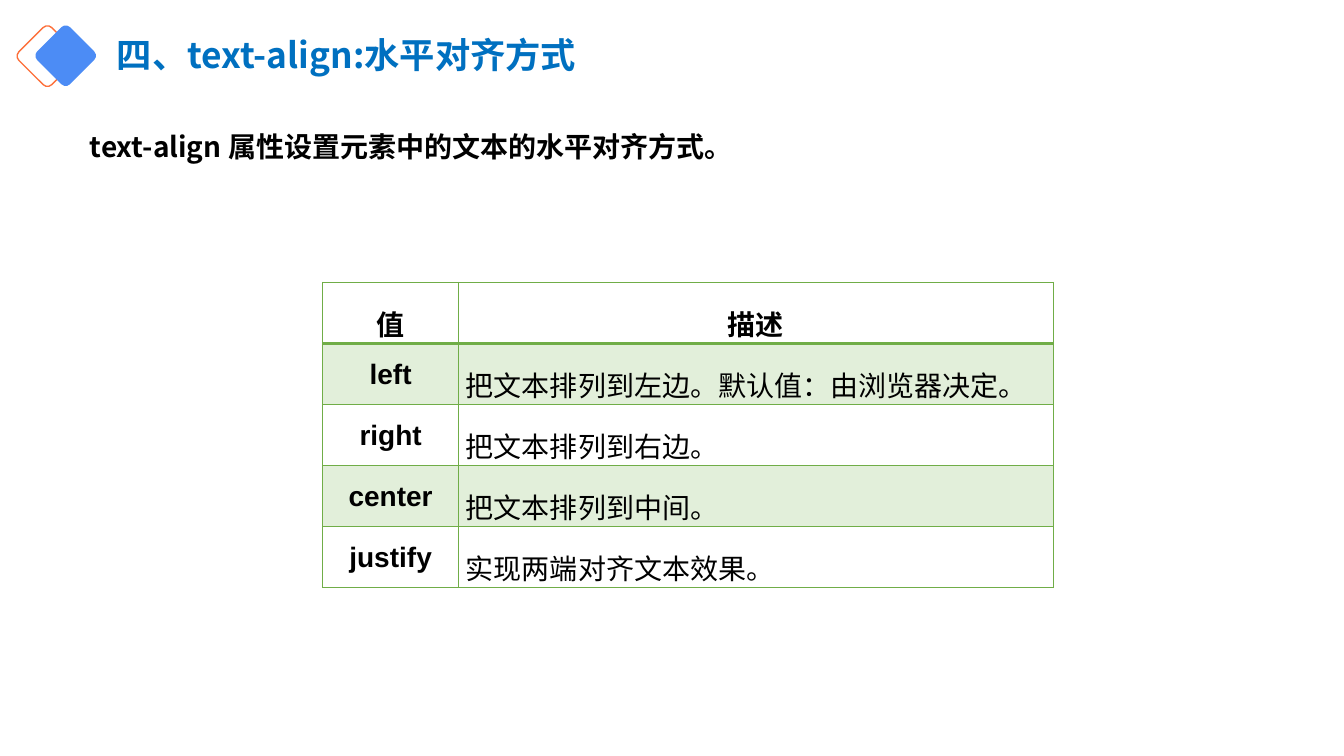
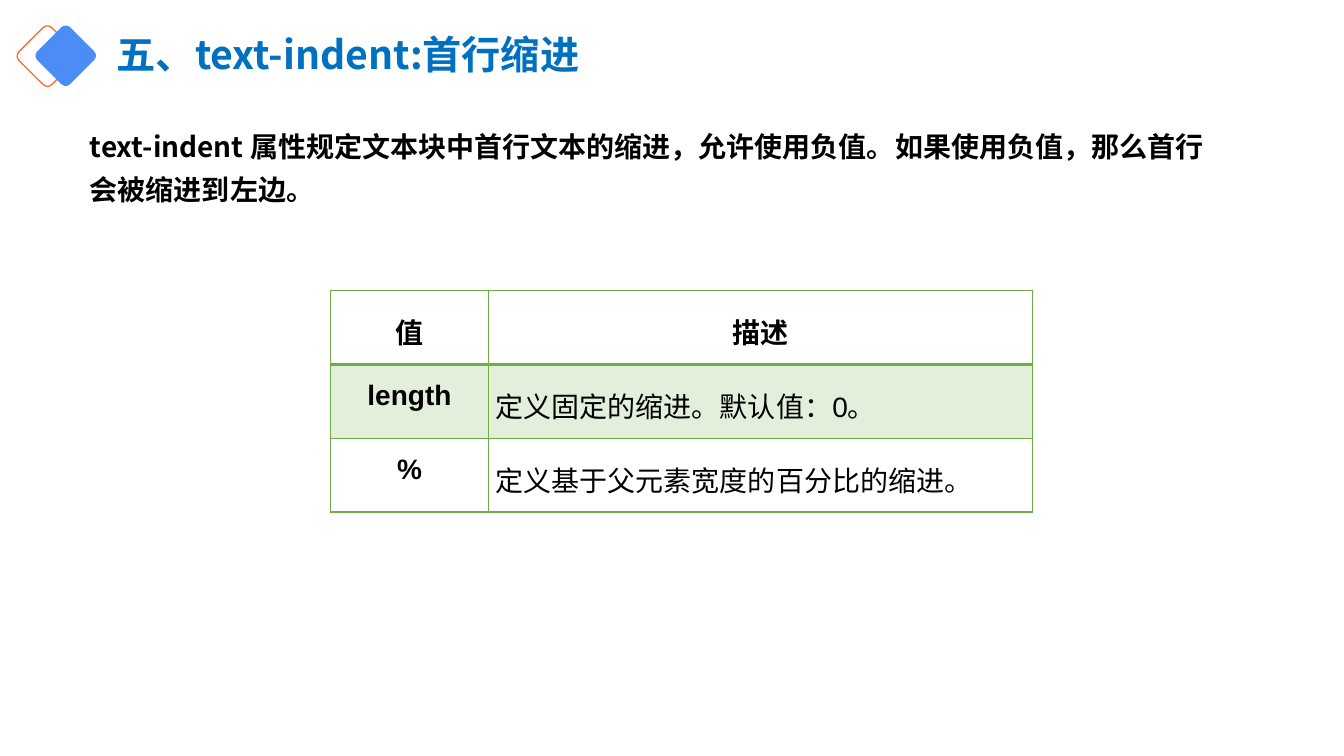
"""Build two slides on CSS text alignment and first-line indent."""
from dataclasses import dataclass

from lxml import etree
from pptx import Presentation
from pptx.dml.color import RGBColor
from pptx.enum.shapes import MSO_SHAPE
from pptx.enum.text import MSO_ANCHOR, MSO_AUTO_SIZE, PP_ALIGN
from pptx.oxml.ns import qn
from pptx.util import Cm, Pt

LEFT, CENTER, JUSTIFY = PP_ALIGN.LEFT, PP_ALIGN.CENTER, PP_ALIGN.JUSTIFY
MIDDLE, TOP = MSO_ANCHOR.MIDDLE, MSO_ANCHOR.TOP
NO_FIT = MSO_AUTO_SIZE.NONE
ROUND_RECT = MSO_SHAPE.ROUNDED_RECTANGLE

CJK_FONT, TABLE_FONT = "Noto Sans CJK SC", "Arial"
BLUE, BLACK, GREEN, PALE_GREEN = "0070C0", "000000", "70AD47", "E2EFDA"
BADGE_BLUE, BADGE_ORANGE = "4C8CF5", "FD703B"
HEADER = ("值", "描述")


@dataclass
class Diamond:
    left: float
    top: float
    fill: str | None = None
    line: str | None = None


@dataclass
class Page:
    title: str
    title_size: float
    body: str
    table_left: float
    table_top: float
    col_widths: tuple[float, float]
    row_height: float
    rows: list[tuple[str, str]]


BADGE = [Diamond(0.61, 0.83, line=BADGE_ORANGE), Diamond(1.07, 0.82, fill=BADGE_BLUE)]

PAGES = [
    Page("四、text-align:水平对齐方式", 25.2,
         "text-align 属性设置元素中的文本的水平对齐方式。",
         8.13, 7.12, (3.43, 14.98), 1.4,
         [("left", "把文本排列到左边。默认值：由浏览器决定。"),
          ("right", "把文本排列到右边。"),
          ("center", "把文本排列到中间。"),
          ("justify", "实现两端对齐文本效果。")]),
    Page("五、text-indent:首行缩进", 28,
         "text-indent 属性规定文本块中首行文本的缩进，允许使用负值。"
         "如果使用负值，那么首行会被缩进到左边。",
         8.33, 7.32, (3.98, 13.72), 1.86,
         [("length", "定义固定的缩进。默认值：0。"),
          ("%", "定义基于父元素宽度的百分比的缩进。")]),
]


def rgb(value: str) -> RGBColor:
    """Turn a hex string into a colour."""
    return RGBColor.from_string(value)


def write(tf, text: str, color: str, align, spacing: float, **font) -> None:
    """Write one formatted paragraph without a bullet."""
    p = tf.paragraphs[0]
    p.alignment, p.line_spacing, p.space_before = align, spacing, Pt(0)
    pPr = p._p.get_or_add_pPr()
    pPr.set("marL", "0")
    pPr.set("indent", "0")
    etree.SubElement(pPr, qn("a:buNone"))
    r = p.add_run()
    r.text = text
    for name, value in font.items():
        setattr(r.font, name, value)
    r.font.color.rgb = rgb(color)
    ea = etree.SubElement(r._r.get_or_add_rPr(), qn("a:ea"))
    ea.set("typeface", CJK_FONT)


def place(sp, left: float, top: float, width: float, height: float, anchor) -> None:
    """Move a placeholder and set up its text frame."""
    box = dict(left=left, top=top, width=width, height=height)
    for name, value in box.items():
        setattr(sp, name, Cm(value))
    frame = dict(word_wrap=True, auto_size=NO_FIT, vertical_anchor=anchor)
    for name, value in frame.items():
        setattr(sp.text_frame, name, value)


def add_diamond(s, diamond: Diamond) -> None:
    """Draw one rounded diamond of the title badge."""
    sp = s.shapes.add_shape(ROUND_RECT, Cm(diamond.left), Cm(diamond.top), Cm(1.17), Cm(1.17))
    sp.rotation = 45
    sp.adjustments[0] = 0.13
    sp.shadow.inherit = False
    for fmt, color in ((sp.fill, diamond.fill), (sp.line.fill, diamond.line)):
        if color:
            fmt.solid()
            fmt.fore_color.rgb = rgb(color)
        else:
            fmt.background()
    if diamond.line:
        sp.line.width = Pt(1)


def add_borders(cell, top: float, bottom: float) -> None:
    """Give a cell four green borders, ahead of its fill."""
    tcPr = cell._tc.get_or_add_tcPr()
    widths = dict(lnL=1, lnR=1, lnT=top, lnB=bottom)
    for i, (tag, width) in enumerate(widths.items()):
        ln = etree.Element(qn(f"a:{tag}"), w=str(Pt(width)))
        fill = etree.SubElement(ln, qn("a:solidFill"))
        etree.SubElement(fill, qn("a:srgbClr"), val=GREEN)
        tcPr.insert(i, ln)


def add_value_table(s, page: Page) -> None:
    """Draw the table of property values."""
    rows = [HEADER, *page.rows]
    table = s.shapes.add_table(
        len(rows), len(HEADER), Cm(page.table_left), Cm(page.table_top),
        Cm(sum(page.col_widths)), Cm(page.row_height * len(rows))).table
    table.first_row = table.horz_banding = False
    for col, width in zip(table.columns, page.col_widths):
        col.width = Cm(width)
    margins = dict(margin_left=0.18, margin_right=0.18, margin_top=0, margin_bottom=0)
    for i, row in enumerate(rows):
        table.rows[i].height = Cm(page.row_height)
        for j, text in enumerate(row):
            cell = table.cell(i, j)
            for name, value in margins.items():
                setattr(cell, name, Cm(value))
            if i % 2:
                cell.fill.solid()
                cell.fill.fore_color.rgb = rgb(PALE_GREEN)
            else:
                cell.fill.background()
            add_borders(cell, 2 if i == 1 else 1, 2 if i == 0 else 1)
            strong = i == 0 or j == 0
            write(cell.text_frame, text, BLACK, CENTER if strong else JUSTIFY, 1.5,
                  name=TABLE_FONT, size=Pt(20), bold=strong)


def add_page(prs, page: Page) -> None:
    """Add one slide with badge, title, body and table."""
    s = prs.slides.add_slide(prs.slide_layouts[1])
    for diamond in BADGE:
        add_diamond(s, diamond)
    title, body = s.shapes.title, s.placeholders[1]
    place(title, 2.69, 0.43, 13.03, 2.01, MIDDLE)
    write(title.text_frame, page.title, BLUE, LEFT, 0.9,
          name=CJK_FONT, size=Pt(page.title_size), bold=True)
    place(body, 2.01, 2.92, 29.01, 14.22, TOP)
    write(body.text_frame, page.body, BLACK, LEFT, 1.26,
          name=CJK_FONT, size=Pt(20), bold=True)
    add_value_table(s, page)


def main() -> None:
    """Build and save the deck."""
    prs = Presentation()
    prs.slide_width, prs.slide_height = Cm(33.87), Cm(19.05)
    for page in PAGES:
        add_page(prs, page)
    prs.save("out.pptx")


if __name__ == "__main__":
    main()
